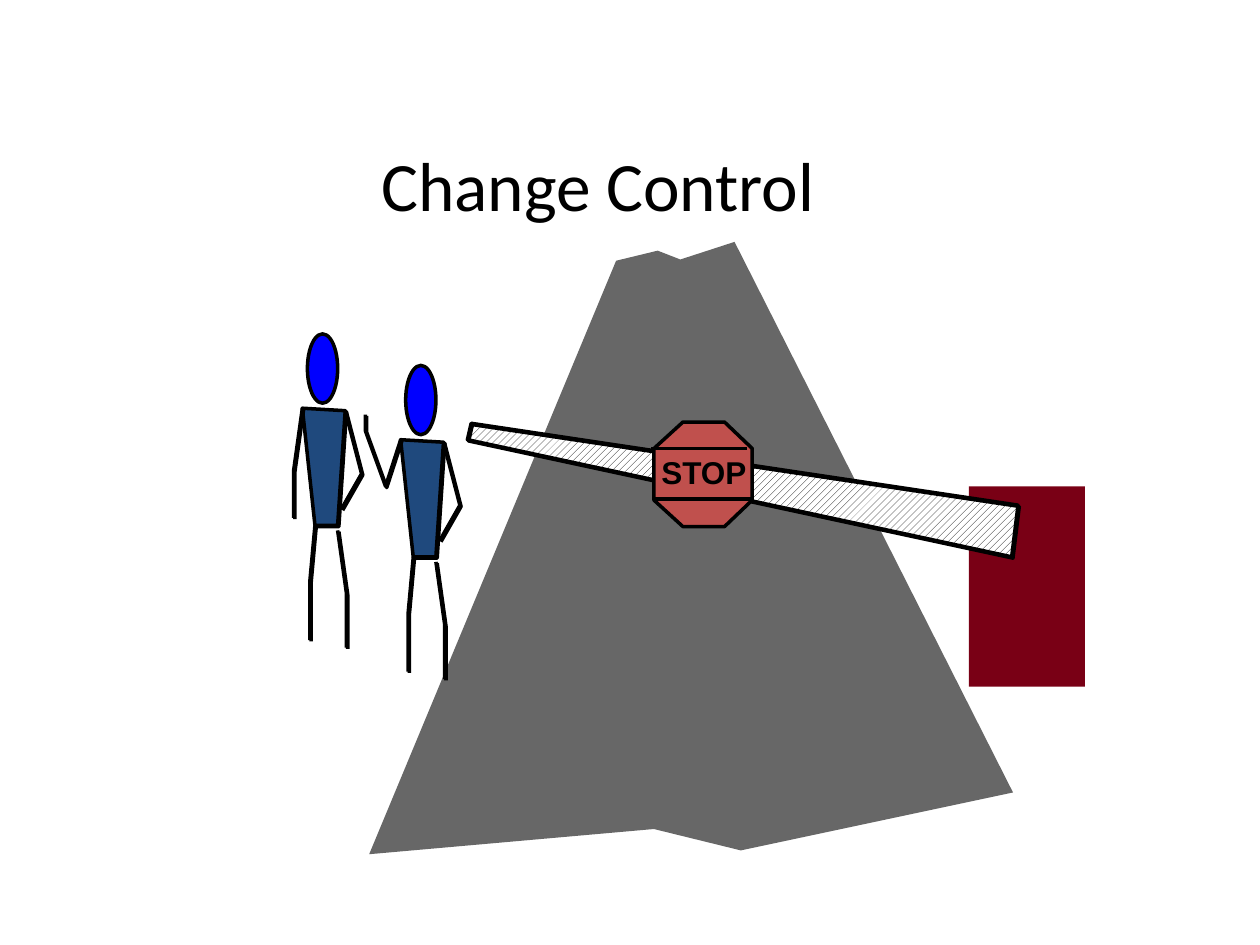
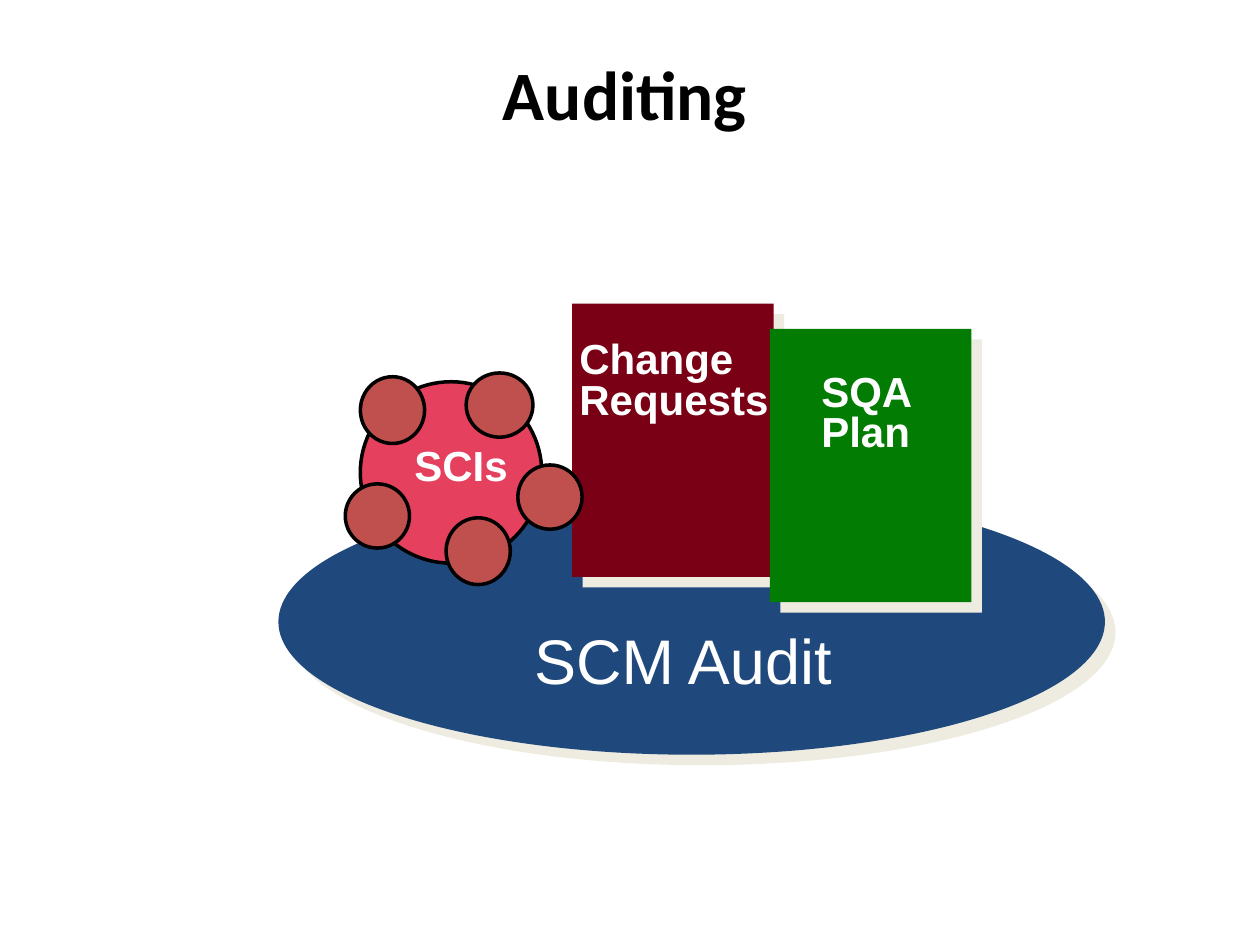
from dataclasses import dataclass
from typing import Any, Optional

from lxml import etree
from pptx import Presentation
from pptx.dml.color import RGBColor
from pptx.enum.dml import MSO_PATTERN
from pptx.enum.shapes import MSO_CONNECTOR, MSO_SHAPE
from pptx.enum.text import MSO_ANCHOR, MSO_AUTO_SIZE, PP_ALIGN
from pptx.oxml.ns import qn
from pptx.util import Cm, Pt

RECT, OVAL = MSO_SHAPE.RECTANGLE, MSO_SHAPE.OVAL
LINE = MSO_CONNECTOR.STRAIGHT
HATCH = MSO_PATTERN.WIDE_UPWARD_DIAGONAL
MIDDLE, CENTER = MSO_ANCHOR.MIDDLE, PP_ALIGN.CENTER
FIXED, GROW = MSO_AUTO_SIZE.NONE, MSO_AUTO_SIZE.SHAPE_TO_FIT_TEXT

BLACK, WHITE, NAVY = "000000", "FFFFFF", "1F497D"
MAROON, BRICK, GREEN = "790015", "C0504D", "037C03"
ROSE, BLUE, GREY, CREAM = "E5405D", "0000FF", "676767", "EEECE1"

Points = list[tuple[float, float]]


@dataclass
class Box:
    left: float
    top: float
    width: float
    height: float

    def emu(self) -> list[int]:
        return [unit(v) for v in (self.left, self.top, self.width, self.height)]


@dataclass
class Person:
    x: float
    y: float
    arm: Points


@dataclass
class Label:
    box: Box
    lines: list[str]
    size: float = 24
    color: str = WHITE
    bold: bool = True
    gap: Optional[float] = None


def unit(inch: float) -> int:
    return Cm(inch * 2.54)


def rgb(code: str) -> RGBColor:
    return RGBColor.from_string(code)


# Shared drawing
def paint(shape: Any, fill: Optional[str], line: Optional[float]) -> None:
    shape.shadow.inherit = False
    if fill:
        shape.fill.solid()
        shape.fill.fore_color.rgb = rgb(fill)
    else:
        shape.fill.background()
    if line:
        shape.line.color.rgb = rgb(BLACK)
        shape.line.width = Pt(line)
    else:
        shape.line.fill.background()


def block(area: Any, kind: Any, box: Box, fill: Optional[str],
          line: Optional[float] = None) -> Any:
    shape = area.add_shape(kind, *box.emu())
    paint(shape, fill, line)
    return shape


def path(area: Any, points: Points, fill: Optional[str] = None,
         line: Optional[float] = 2, closed: bool = False) -> Any:
    dots = [(unit(x), unit(y)) for x, y in points]
    pen = area.build_freeform(*dots[0])
    pen.add_line_segments(dots[1:], close=closed)
    shape = pen.convert_to_shape()
    paint(shape, fill, line)
    return shape


def shift(points: Points, dx: float, dy: float) -> Points:
    return [(x + dx, y + dy) for x, y in points]


def rule(area: Any, x1: float, x2: float, y: float) -> None:
    line = area.add_connector(LINE, unit(x1), unit(y), unit(x2), unit(y))
    line.line.color.rgb = rgb(BLACK)
    line.line.width = Pt(2)
    etree.SubElement(line._element.spPr, qn("a:effectLst"))


def shade(shape: Any) -> None:
    effects = shape._element.spPr.find(qn("a:effectLst"))
    outer = etree.SubElement(effects, qn("a:outerShdw"), dist=str(Pt(8.5)),
                             dir="2700000", algn="ctr", rotWithShape="0")
    etree.SubElement(outer, qn("a:srgbClr"), val=CREAM)


def add_run(para: Any, text: str, font: str, size: float, color: str,
            bold: bool) -> None:
    run = para.add_run()
    run.text = text
    run.font.name = font
    run.font.size = Pt(size)
    run.font.bold = bold
    run.font.color.rgb = rgb(color)


def write(area: Any, label: Label) -> None:
    frame = area.add_textbox(*label.box.emu()).text_frame
    frame.word_wrap = False
    frame.auto_size = GROW
    for i, text in enumerate(label.lines):
        para = frame.add_paragraph() if i else frame.paragraphs[0]
        if label.gap:
            para.line_spacing = label.gap
        add_run(para, text, "Arial", label.size, label.color, label.bold)


def new_slide(deck: Any, text: str, box: Box, bold: bool) -> Any:
    slide = deck.slides.add_slide(deck.slide_layouts[5])
    title = slide.shapes.title
    title.left, title.top, title.width, title.height = box.emu()
    frame = title.text_frame
    frame.auto_size = FIXED
    frame.vertical_anchor = MIDDLE
    para = frame.paragraphs[0]
    para.alignment = CENTER
    add_run(para, text, "Calibri", 39.6, BLACK, bold)
    return slide


# Stick figure: each part has a black double just behind it
TORSO = [(0, 0), (0.34, 0.02), (0.28, 0.93), (0.1, 0.93)]
LIMBS = [
    [(0.34, 0.02), (0.47, 0.52), (0.31, 0.8)],
    [(0.28, 0.97), (0.35, 1.47), (0.35, 1.9)],
    [(0.1, 0.93), (0.06, 1.37), (0.06, 1.84)],
]


def draw_person(area: Any, one: Person) -> None:
    x, y = one.x, one.y
    block(area, OVAL, Box(x + 0.07, y - 0.56, 0.18, 0.49), WHITE, 4)
    block(area, OVAL, Box(x + 0.04, y - 0.59, 0.24, 0.55), BLUE, 2)
    for step, fill in ((0.01, None), (0, NAVY)):
        path(area, shift(TORSO, x + step, y + step), fill, closed=True)
    for limb in [one.arm, *LIMBS]:
        for step in (0.01, 0):
            path(area, shift(limb, x + step, y + step))


deck = Presentation()
deck.slide_width, deck.slide_height = unit(10), unit(7.5)

# Change control: road and barrier
slide = new_slide(deck, "Change Control", Box(1.42, 1.17, 6.65, 0.57), False)
scene = slide.shapes.add_group_shape().shapes
block(scene, RECT, Box(7.69, 3.86, 0.92, 1.59), MAROON)
path(scene, [(4.89, 2.07), (5.22, 1.99), (5.4, 2.06), (5.83, 1.92),
             (8.04, 6.29), (5.88, 6.75), (5.19, 6.58), (2.93, 6.78)],
     GREY, None, True)
BAR = [(8.08, 4.01), (8.03, 4.42), (3.71, 3.49), (3.74, 3.36)]
bar = path(scene, shift(BAR, 0.01, 0.01), closed=True)
bar.fill.patterned()
bar.fill.pattern = HATCH
bar.fill.fore_color.rgb = rgb(BLACK)
bar.fill.back_color.rgb = rgb(WHITE)
path(scene, BAR, closed=True)

# People at the barrier
draw_person(scene, Person(3.18, 3.49, [(0, 0), (-0.12, 0.37),
                                       (-0.28, -0.07), (-0.28, -0.2)]))
draw_person(scene, Person(2.4, 3.24, [(0, 0), (-0.07, 0.5), (-0.07, 0.87)]))

# Stop sign
path(scene, [(5.42, 3.35), (5.75, 3.35), (5.97, 3.56), (5.97, 3.97),
             (5.75, 4.18), (5.42, 4.18), (5.19, 3.97), (5.19, 3.56)],
     BRICK, closed=True)
rule(scene, 5.17, 5.93, 3.56)
rule(scene, 5.19, 5.97, 3.96)
write(scene, Label(Box(5.15, 3.55, 0.88, 0.4), ["STOP"], 18, BLACK))

# Auditing: base and documents
slide = new_slide(deck, "Auditing", Box(1.42, 0.42, 7.08, 0.64), True)
area = slide.shapes
for kind, box, fill in (
    (OVAL, Box(2.21, 3.88, 6.56, 2.11), NAVY),
    (RECT, Box(4.54, 2.41, 1.6, 2.17), MAROON),
    (RECT, Box(6.11, 2.61, 1.6, 2.17), GREEN),
):
    shade(block(area, kind, box, fill))

# Cluster of items
block(area, OVAL, Box(2.86, 3.03, 1.44, 1.44), ROSE, 2)
write(area, Label(Box(3.19, 3.44, 0.94, 0.5), ["SCIs"]))
for ball in (Box(3.54, 4.11, 0.51, 0.53), Box(4.11, 3.69, 0.51, 0.51),
             Box(3.7, 2.96, 0.53, 0.51), Box(2.86, 2.99, 0.51, 0.53),
             Box(2.74, 3.84, 0.51, 0.51)):
    block(area, OVAL, ball, BRICK, 2)

# Captions
for label in (
    Label(Box(4.5, 2.67, 1.7, 0.74), ["Change", "Requests"], gap=0.8),
    Label(Box(6.42, 2.93, 0.92, 0.74), ["SQA", "Plan"], gap=0.8),
    Label(Box(4.14, 4.88, 2.59, 0.7), ["SCM Audit"], 36, bold=False),
):
    write(area, label)

deck.save("out.pptx")
